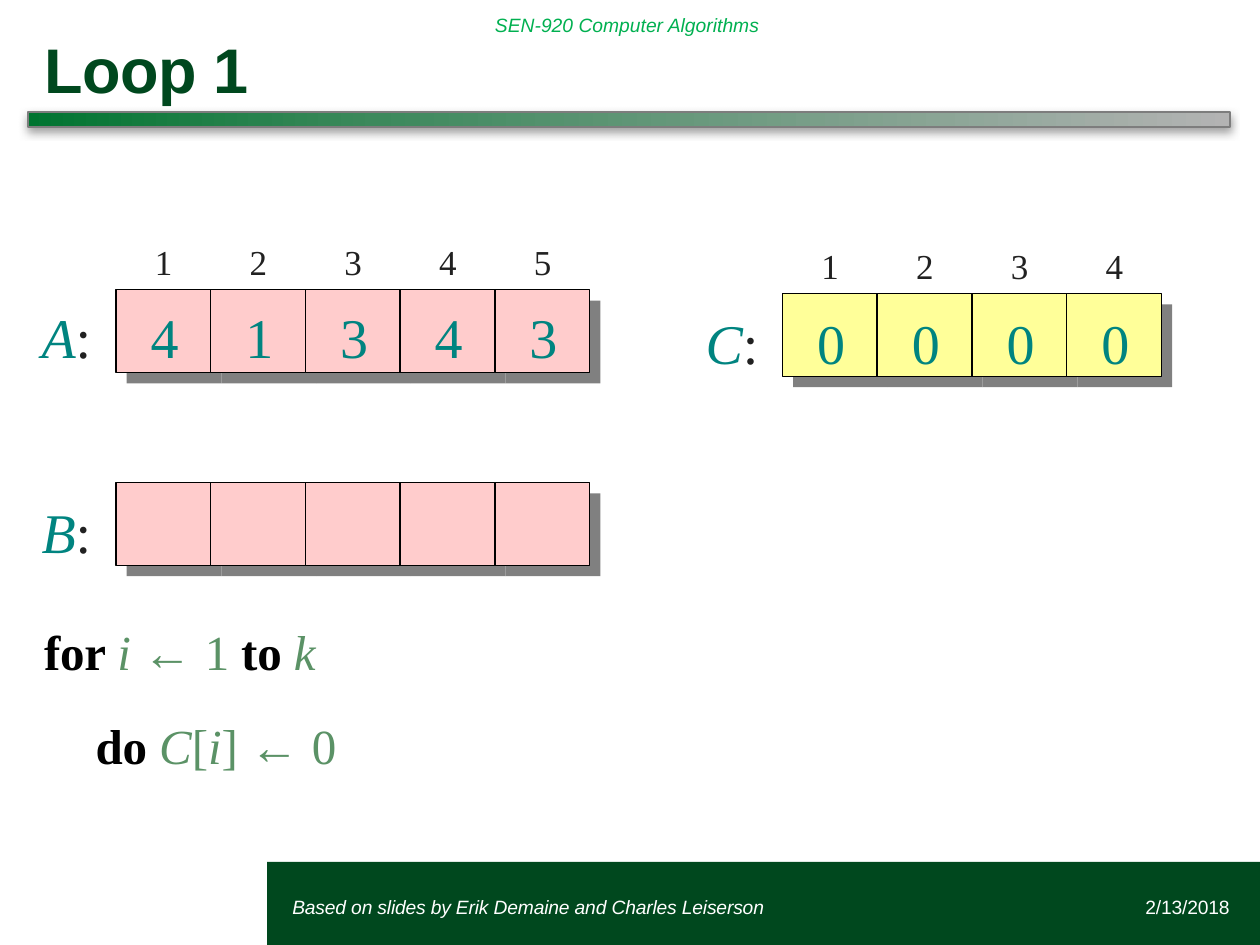
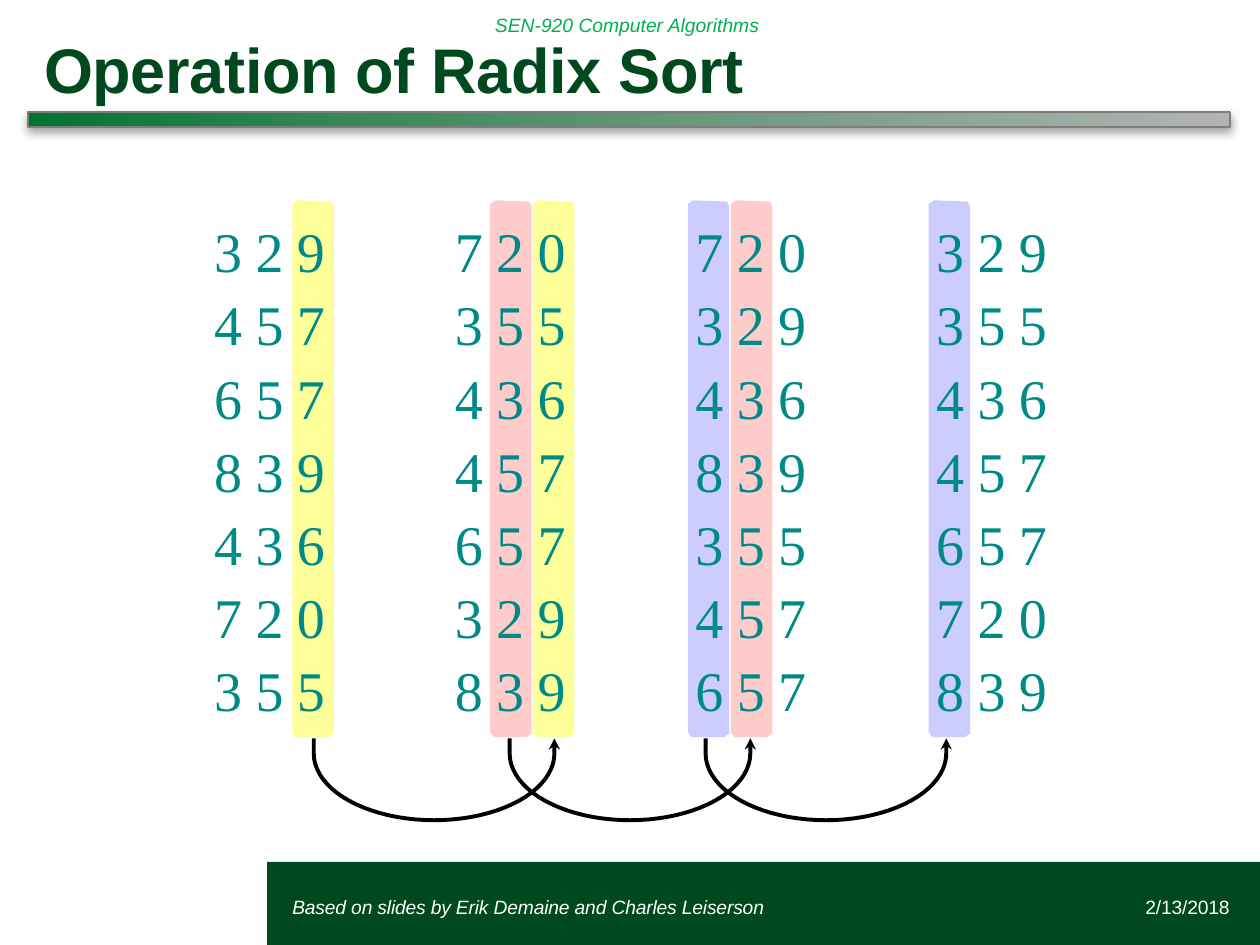
import math
from collections.abc import Sequence
from dataclasses import dataclass
from typing import NamedTuple

from lxml import etree
from pptx import Presentation
from pptx.dml.color import RGBColor
from pptx.enum.shapes import MSO_SHAPE
from pptx.enum.text import MSO_ANCHOR, PP_ALIGN
from pptx.oxml.ns import qn
from pptx.util import Emu, Inches, Pt

RECT = MSO_SHAPE.RECTANGLE
TOP, MIDDLE = MSO_ANCHOR.TOP, MSO_ANCHOR.MIDDLE
LEFT, RIGHT = PP_ALIGN.LEFT, PP_ALIGN.RIGHT

SLIDE_W, SLIDE_H = Inches(10), Inches(7.5)
COLS, ROWS = 100, 75

SANS, SERIF = "Arial", "Times New Roman"
DARK_GREEN, COURSE_GREEN, CODE_GREEN = "00481E", "00B050", "5B9266"
TEAL, DIGIT_TEAL = "008480", "008A87"
BLACK, INK, WHITE, GRAY = "000000", "212121", "FFFFFF", "808080"
PINK, YELLOW, LAVENDER = "FFCCCC", "FFFF99", "CCCCFF"
RULE_STOPS = ((0, "007430"), (29, "3C895C"), (100, "B3B3B3"))

CELL_W, CELL_H, CELL_SHADOW = 7.52, 6.58, 0.85
BAR_TOP = 15.9
BAR_OUTLINE = (
    (3.3, 0.5), (3.1, 0.1), (0.5, 0), (0.4, 0), (0, 0.3), (0, 42.2),
    (0.3, 42.6), (2.9, 42.6), (3.3, 42.3),
)
ARROWHEAD = ((0, 0), (0.45, 0.9), (0, 0.6), (-0.45, 0.9))


class Box(NamedTuple):
    left: float
    top: float
    width: float
    height: float


class Highlight(NamedTuple):
    offset: float
    color: str


@dataclass(frozen=True)
class CellArray:
    name: str
    left: float
    top: float
    count: int
    fill: str
    label_left: float
    label_top: float
    values: str = ""


ARRAYS = (
    CellArray("A", 9.2, 23, 5, PINK, 3.2, 24, "41343"),
    CellArray("B", 9.2, 38.3, 5, PINK, 3.2, 39.5),
    CellArray("C", 62.1, 23.3, 4, YELLOW, 55.9, 24.5, "0000"),
)
NUMBERS = ("329", "457", "657", "839", "436", "720", "355")
HIGHLIGHTS = (Highlight(-0.5, LAVENDER), Highlight(2.9, PINK), Highlight(6.3, YELLOW))


def x(cols: float) -> Emu:
    return Emu(round(cols * SLIDE_W / COLS))


def y(rows: float) -> Emu:
    return Emu(round(rows * SLIDE_H / ROWS))


def place(box: Box) -> tuple[Emu, Emu, Emu, Emu]:
    return x(box.left), y(box.top), x(box.width), y(box.height)


def rgb(color: str) -> RGBColor:
    return RGBColor.from_string(color)


def sub(parent, tag: str, **attrs: object):
    return etree.SubElement(parent, qn(tag), {k: str(v) for k, v in attrs.items()})


def style(sp, fill: str = "", line: str = "", width: float = 0.75) -> None:
    sp.shadow.inherit = False
    if fill:
        sp.fill.solid()
        sp.fill.fore_color.rgb = rgb(fill)
    else:
        sp.fill.background()
    if line:
        sp.line.color.rgb = rgb(line)
        sp.line.width = Pt(width)
    else:
        sp.line.fill.background()


def add_rect(s, box: Box, fill: str, line: str = "", width: float = 0.75):
    sp = s.shapes.add_shape(RECT, *place(box))
    style(sp, fill, line, width)
    return sp


def add_outline(s, points: Sequence[tuple[float, float]], close: bool):
    spots = [(x(c), y(r)) for c, r in points]
    builder = s.shapes.build_freeform(*spots[0])
    builder.add_line_segments(spots[1:], close=close)
    return builder.convert_to_shape()


def add_filled_outline(s, left: float, top: float, outline: Sequence[tuple[float, float]],
                       color: str) -> None:
    points = [(left + dx, top + dy) for dx, dy in outline]
    style(add_outline(s, points, close=True), color)


def add_frame(s, box: Box, anchor=TOP, side: float = 0, top: float = 0):
    tf = s.shapes.add_textbox(*place(box)).text_frame
    tf.word_wrap = True
    tf.vertical_anchor = anchor
    tf.margin_left = tf.margin_right = x(side)
    tf.margin_top, tf.margin_bottom = y(top), 0
    return tf


def set_paragraph(p, margin: float = 0.1, indent: float = 0, align=LEFT, before: float = 0,
                  line: float = 0) -> None:
    p.alignment = align
    p.space_before = Pt(before)
    if line:
        p.line_spacing = Pt(line)
    pPr = p._p.get_or_add_pPr()
    pPr.set("marL", str(x(margin)))
    pPr.set("indent", str(x(indent)))


def write(p, text: str, *, size: float, color: str, font: str = SERIF, bold: bool = False,
          italic: bool = False, spacing: float = -0.2) -> None:
    r = p.add_run()
    r.text = text
    r.font.name, r.font.size = font, Pt(size)
    r.font.bold, r.font.italic = bold, italic
    r.font.color.rgb = rgb(color)
    r._r.get_or_add_rPr().set("spc", str(round(spacing * 100)))


def add_rule(s) -> None:
    sp = add_rect(s, Box(2.2, 8.9, 95.4, 1.2), GRAY, "7D7D7D", 1)
    sp.fill.gradient()
    sp.fill.gradient_angle = 0
    stops = sp._element.spPr.find(".//" + qn("a:gsLst"))
    stops.clear()
    for share, color in RULE_STOPS:
        sub(sub(stops, "a:gs", pos=share * 1000), "a:srgbClr", val=color)
    effects = sp._element.spPr.find(qn("a:effectLst"))
    shadow = sub(effects, "a:outerShdw", blurRad=Pt(5), dist=Pt(2), dir=90 * 60000,
                 rotWithShape=0)
    sub(sub(shadow, "a:srgbClr", val=GRAY), "a:alpha", val=75000)


def add_slide(prs, title: str):
    s = prs.slides.add_slide(prs.slide_layouts[6])
    add_rect(s, Box(21.2, 68.4, 78.8, 6.6), DARK_GREEN)
    p = add_frame(s, Box(38.3, 0, 46.1, 4), MIDDLE, side=1).paragraphs[0]
    write(p, "SEN-920 Computer Algorithms", size=11, color=COURSE_GREEN, font=SANS,
          italic=True, spacing=0)
    add_rule(s)
    p = add_frame(s, Box(2.2, 1.7, 95.4, 7.3), top=3.5).paragraphs[0]
    set_paragraph(p, margin=10.4, indent=-9.1, line=24)
    write(p, title, size=36, color=DARK_GREEN, font=SANS, bold=True)
    for box, text, align, italic in (
        (Box(74.3, 70, 23.3, 4), "2/13/2018", RIGHT, False),
        (Box(23.1, 70, 46.1, 4), "Based on slides by Erik Demaine and Charles Leiserson",
         LEFT, True),
    ):
        p = add_frame(s, box, MIDDLE).paragraphs[0]
        set_paragraph(p, align=align)
        write(p, text, size=11, color=WHITE, font=SANS, italic=italic, spacing=-0.1)
    return s


def add_array(s, array: CellArray) -> None:
    lefts = [array.left + i * CELL_W for i in range(array.count)]
    for left in lefts:
        cell = Box(left, array.top, CELL_W, CELL_H)
        add_rect(s, cell._replace(left=left + CELL_SHADOW, top=array.top + CELL_SHADOW), GRAY)
        add_rect(s, cell, array.fill, BLACK)
    for i, (left, value) in enumerate(zip(lefts, array.values), 1):
        p = add_frame(s, Box(left + 3, array.top - 3.9, 1.7, 3.4)).paragraphs[0]
        set_paragraph(p)
        write(p, str(i), size=20, color=INK, spacing=-0.1)
        p = add_frame(s, Box(left + 2.65, array.label_top, 3, 5.4)).paragraphs[0]
        set_paragraph(p)
        write(p, value, size=32, color=TEAL)
    p = add_frame(s, Box(array.label_left, array.label_top, 4.6, 5.4)).paragraphs[0]
    set_paragraph(p)
    write(p, array.name, size=32, color=TEAL, italic=True)
    write(p, ":", size=32, color=INK, spacing=-0.1)


def add_loop_code(s) -> None:
    keyword = {"color": BLACK, "bold": True, "spacing": -0.1}
    plain = {"color": CODE_GREEN}
    variable = {"color": CODE_GREEN, "italic": True, "spacing": -0.1}
    arrow = {"color": CODE_GREEN, "font": SANS, "spacing": -0.3}
    lines = (
        (0, 0, (("for ", keyword), ("i ", variable), ("← ", arrow), ("1 ", plain),
                ("to ", keyword), ("k", variable))),
        (4.1, 20, (("do ", keyword), ("C", variable), ("[", plain), ("i", variable),
                   ("] ", plain), ("← ", arrow), ("0", plain))),
    )
    tf = add_frame(s, Box(3.5, 49.3, 95.4, 12.2))
    for i, (margin, before, runs) in enumerate(lines):
        p = tf.add_paragraph() if i else tf.paragraphs[0]
        set_paragraph(p, margin=margin, before=before)
        for text, fmt in runs:
            write(p, text, size=28, **fmt)


def add_number_column(s, left: float, numbers: Sequence[str]) -> None:
    tf = add_frame(s, Box(left, 17.2, 9.2, 40.2))
    for i, number in enumerate(numbers):
        p = tf.add_paragraph() if i else tf.paragraphs[0]
        set_paragraph(p, before=3.4 if i else 0)
        write(p, " ".join(number), size=32, color=DIGIT_TEAL)


def add_arc_arrow(s, left: float) -> None:
    radius, depth, tip, base, steps = 9.55, 5.3, 58.6, 59.8, 40
    right = left + 2 * radius
    angles = [math.pi * (1 - i / steps) for i in range(steps + 1)]
    curve = [(left + radius * (1 + math.cos(a)), base + depth * math.sin(a)) for a in angles]
    sp = add_outline(s, [(left, tip), *curve, (right, tip + 0.5)], close=False)
    style(sp, line=BLACK, width=2.25)
    add_filled_outline(s, right, tip, ARROWHEAD, BLACK)


def build_loop(prs) -> None:
    s = add_slide(prs, "Loop 1")
    for array in ARRAYS:
        add_array(s, array)
    add_loop_code(s)


def build_radix_sort(prs) -> None:
    s = add_slide(prs, "Operation of Radix Sort")
    digits = len(HIGHLIGHTS)
    numbers = list(NUMBERS)
    for stage in range(digits + 1):
        left = 16.9 + stage * 19.1
        sorted_digit, next_digit = digits - stage, digits - stage - 1
        if stage:
            numbers.sort(key=lambda number: number[sorted_digit])
        for digit in (next_digit, sorted_digit):
            if 0 <= digit < digits:
                bar = HIGHLIGHTS[digit]
                add_filled_outline(s, left + bar.offset, BAR_TOP, BAR_OUTLINE, bar.color)
        add_number_column(s, left, numbers)
    for i in range(digits):
        add_arc_arrow(s, 24.9 + i * 15.55)


def main() -> None:
    prs = Presentation()
    prs.slide_width, prs.slide_height = SLIDE_W, SLIDE_H
    build_loop(prs)
    build_radix_sort(prs)
    prs.save("out.pptx")


if __name__ == "__main__":
    main()
